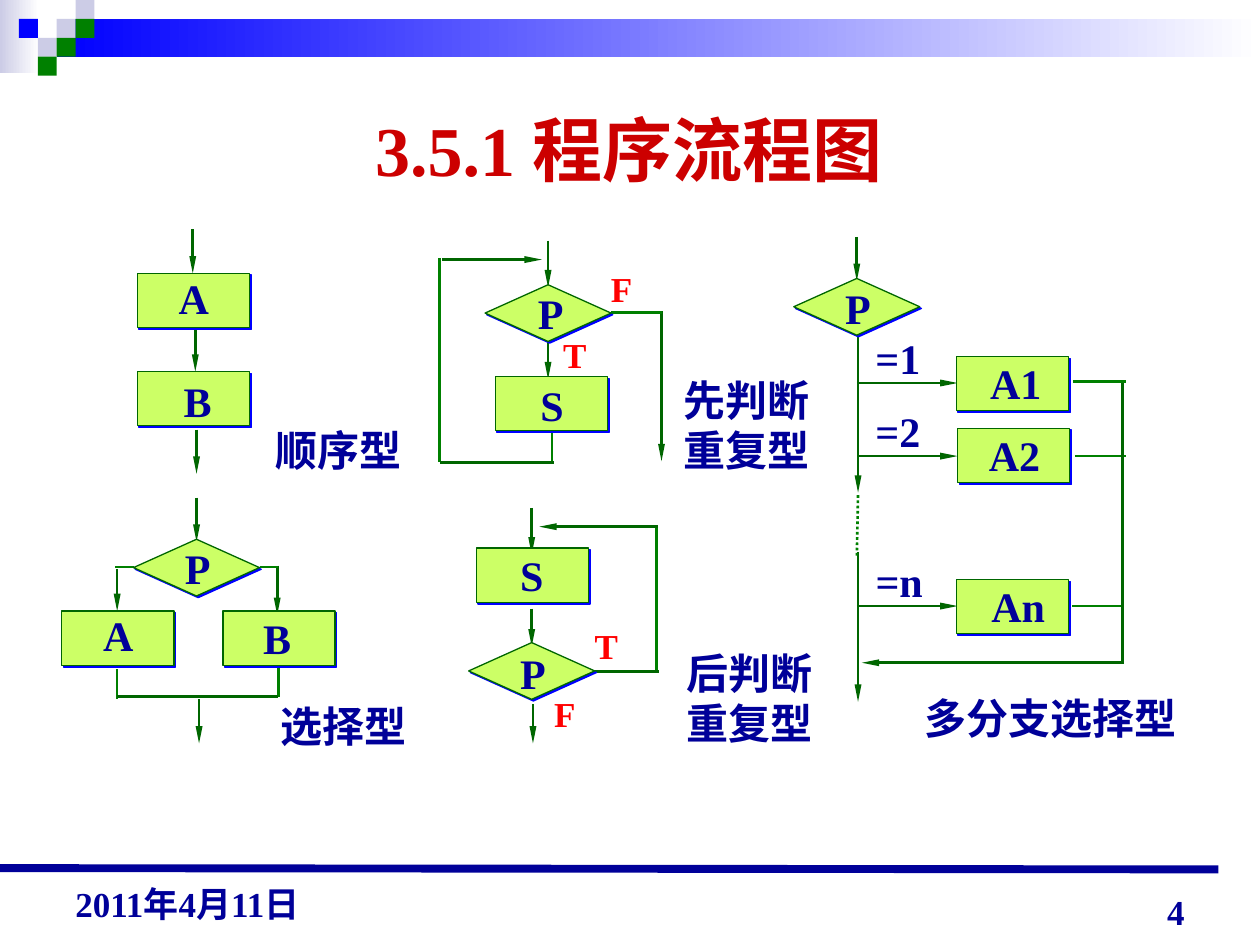
from dataclasses import dataclass

from lxml.etree import SubElement
from pptx import Presentation
from pptx.dml.color import RGBColor
from pptx.enum.dml import MSO_LINE
from pptx.enum.shapes import MSO_CONNECTOR, MSO_SHAPE
from pptx.enum.text import MSO_ANCHOR, PP_ALIGN
from pptx.oxml.ns import qn
from pptx.util import Inches, Pt


@dataclass(frozen=True)
class Theme:
    font: str = "Times New Roman"
    title: str = "CC0000"
    navy: str = "000099"
    red: str = "FF0000"
    lime: str = "CCFF66"
    dark: str = "006600"
    green: str = "008000"
    blue: str = "0000FF"
    lilac: str = "CCCCE6"
    white: str = "FFFFFF"
    title_size: int = 40
    label_size: int = 24
    small_size: int = 20


THEME = Theme()
TITLE = "3.5.1 程序流程图"
SQUARE = 0.15
BOX_SIZE = (0.89, 0.43)
DIAMOND_SIZE = (1, 0.45)

# Gradient bands: left, top, width, height, left-hand colour
BANDS = [(0, 0, 0.31, 0.58, THEME.lilac), (0.45, 0.15, 9.55, 0.3, THEME.blue)]
# Corner squares: column, row, colour
SQUARES = [
    (3, 1, THEME.lilac), (4, 0, THEME.lilac), (4, 1, THEME.green),
    (2, 2, THEME.lilac), (1, 1, THEME.blue), (3, 2, THEME.green),
    (2, 3, THEME.green),
]

# Lines are (x1, y1, x2, y2); boxes and diamonds (left, top);
# labels, branches and captions (text, left, top).
CHARTS = [
    {  # sequence
        "arrows": [(1.53, 1.82, 1.53, 2.17), (1.55, 2.61, 1.55, 2.95),
                   (1.56, 3.41, 1.56, 3.76)],
        "boxes": [(1.09, 2.17), (1.09, 2.95)],
        "labels": [("A", 1.32, 2.11), ("B", 1.36, 2.93), ("顺序型", 2.09, 3.32)],
    },
    {  # selection
        "arrows": [(1.56, 3.95, 1.56, 4.3), (0.93, 4.52, 0.93, 4.85),
                   (1.58, 5.55, 1.58, 5.9), (2.2, 4.49, 2.2, 4.88)],
        "boxes": [(0.49, 4.85), (1.77, 4.85)],
        "diamonds": [(1.06, 4.28)],
        "links": [(1.06, 4.5, 0.91, 4.5), (2.06, 4.5, 2.21, 4.5),
                  (0.93, 5.31, 0.93, 5.55), (2.21, 5.29, 2.21, 5.53)],
        "dark_links": [(0.93, 5.53, 2.21, 5.53)],
        "labels": [("A", 0.72, 4.79), ("B", 1.99, 4.81), ("P", 1.37, 4.26),
                   ("选择型", 2.13, 5.51)],
    },
    {  # multi-way selection
        "arrows": [(6.8, 1.88, 6.8, 2.23), (8.92, 5.26, 6.84, 5.26),
                   (6.81, 4.38, 6.81, 5.57), (6.8, 3.04, 7.6, 3.04),
                   (6.81, 3.62, 7.6, 3.62), (6.8, 4.81, 7.6, 4.81)],
        "thin_arrows": [(6.81, 2.67, 6.81, 3.91)],
        "dotted": [(6.81, 3.93, 6.8, 4.42)],
        "boxes": [(7.59, 2.83), (7.6, 3.4), (7.59, 4.6)],
        "diamonds": [(6.3, 2.21)],
        "links": [(8.91, 4.81, 8.51, 4.81), (8.52, 3.03, 8.94, 3.03),
                  (8.53, 3.62, 8.94, 3.62)],
        "dark_links": [(8.91, 3.04, 8.91, 5.26)],
        "labels": [("P", 6.61, 2.19), ("=1", 6.85, 2.59), ("A1", 7.76, 2.79),
                   ("=2", 6.85, 3.17), ("A2", 7.75, 3.36), ("=n", 6.85, 4.36),
                   ("An", 7.77, 4.56), ("多分支选择型", 7.24, 5.45)],
    },
    {  # loop tested first
        "arrows": [(4.35, 1.91, 4.35, 2.28), (5.25, 2.47, 5.25, 3.66),
                   (3.51, 2.06, 4.3, 2.06), (4.35, 2.71, 4.35, 3.01)],
        "boxes": [(3.93, 2.99)],
        "diamonds": [(3.85, 2.26)],
        "links": [(4.85, 2.48, 5.25, 2.48), (3.49, 2.05, 3.49, 3.67),
                  (4.38, 3.43, 4.38, 3.67)],
        "dark_links": [(3.49, 3.67, 4.4, 3.67)],
        "labels": [("S", 4.19, 2.96), ("P", 4.17, 2.23),
                   ("先判断\n重复型", 5.33, 2.92)],
        "branches": [("T", 4.37, 2.6), ("F", 4.75, 2.07)],
    },
    {  # loop tested last
        "arrows": [(4.22, 4.03, 4.22, 4.4), (4.23, 5.59, 4.23, 5.9),
                   (5.22, 4.18, 4.28, 4.18), (4.22, 4.83, 4.22, 5.13)],
        "boxes": [(3.78, 4.35)],
        "diamonds": [(3.72, 5.1)],
        "links": [(5.21, 4.19, 5.21, 5.33)],
        "dark_links": [(4.68, 5.33, 5.23, 5.33)],
        "labels": [("S", 4.03, 4.31), ("P", 4.03, 5.09),
                   ("后判断\n重复型", 5.35, 5.09)],
        "branches": [("F", 4.3, 5.45), ("T", 4.62, 4.91)],
    },
]
LINE_STYLES = {
    "arrows": {"arrow": True},
    "thin_arrows": {"arrow": True, "width": 0.75},
    "links": {"color": THEME.green},
    "dark_links": {},
    "dotted": {"color": THEME.green, "dash": MSO_LINE.ROUND_DOT},
}
NODE_STYLES = {"boxes": (MSO_SHAPE.RECTANGLE, BOX_SIZE),
               "diamonds": (MSO_SHAPE.DIAMOND, DIAMOND_SIZE)}
LABEL_STYLES = {"labels": (THEME.label_size, THEME.navy),
                "branches": (THEME.small_size, THEME.red)}
# Bold glyph widths in ems; Chinese characters take one em
EMS = {"A": 0.72, "B": 0.67, "P": 0.61, "S": 0.56, "T": 0.67, "F": 0.61,
       "=": 0.57, "n": 0.56, "1": 0.5, "2": 0.5}
FOOTERS = [("4", (7.17, 6.95, 2.33, 0.5), PP_ALIGN.RIGHT),
           ("2011年4月11日", (0.5, 6.87, 2.33, 0.52), PP_ALIGN.LEFT)]


def rgb(color):
    return RGBColor.from_string(color)


def write(frame, text, size, color, align=PP_ALIGN.LEFT):
    frame.text = text
    for para in frame.paragraphs:
        para.alignment = align
        for span in para.runs:
            values = {"name": THEME.font, "size": Pt(size), "bold": True}
            for name, value in values.items():
                setattr(span.font, name, value)
            span.font.color.rgb = rgb(color)


def add_text(page, area, text, size, color, **style):
    frame = page.shapes.add_textbox(*map(Inches, area)).text_frame
    frame.word_wrap = style.get("wrap", False)
    frame.vertical_anchor = style.get("anchor", MSO_ANCHOR.TOP)
    write(frame, text, size, color, style.get("align", PP_ALIGN.LEFT))


def add_label(page, text, left, top, size, color):
    """Place a label in a box that just fits its lines."""
    lines = text.split("\n")
    ems = max(sum(EMS.get(char, 1) for char in line) for line in lines)
    area = (left, top, 0.2 + ems * size / 72, 0.1 + len(lines) * size / 60)
    add_text(page, area, text, size, color)


def add_plain(page, kind, area, fill=None):
    shape = page.shapes.add_shape(kind, *map(Inches, area))
    shape.shadow.inherit = False
    shape.line.fill.background()
    if fill:
        shape.fill.solid()
        shape.fill.fore_color.rgb = rgb(fill)
    return shape


def add_band(page, area, color):
    fill = add_plain(page, MSO_SHAPE.RECTANGLE, area).fill
    fill.gradient()
    fill.gradient_angle = 180
    for stop, shade in zip(fill.gradient_stops, (THEME.white, color)):
        stop.color.rgb = rgb(shade)


def add_node(page, kind, area):
    """Draw a flowchart symbol with a hard blue shadow."""
    node = add_plain(page, kind, area, THEME.lime)
    node.line.color.rgb = rgb(THEME.dark)
    node.line.width = Pt(0.75)
    effects = node._element.spPr.find(qn("a:effectLst"))
    shadow = SubElement(effects, qn("a:outerShdw"), blurRad="0",
                        dist=str(Pt(1.4)), dir="2700000", algn="ctr", rotWithShape="0")
    SubElement(shadow, qn("a:srgbClr"), val=THEME.blue)


def add_line(page, ends, color=THEME.dark, width=1.5, arrow=False, dash=None):
    link = page.shapes.add_connector(MSO_CONNECTOR.STRAIGHT, *map(Inches, ends))
    link.line.color.rgb = rgb(color)
    link.line.width = Pt(width)
    if dash:
        link.line.dash_style = dash
    if arrow:
        SubElement(link.line._get_or_add_ln(), qn("a:tailEnd"),
                   type="triangle", w="sm", len="lg")
    SubElement(link._element.spPr, qn("a:effectLst"))


def add_chart_parts(page, chart):
    for part, style in LINE_STYLES.items():
        for ends in chart.get(part, []):
            add_line(page, ends, **style)
    for part, (kind, size) in NODE_STYLES.items():
        for corner in chart.get(part, []):
            add_node(page, kind, corner + size)
    for part, style in LABEL_STYLES.items():
        for label in chart.get(part, []):
            add_label(page, *label, *style)


def main():
    deck = Presentation()
    deck.slide_width, deck.slide_height = Inches(10), Inches(7.5)
    page = deck.slides.add_slide(deck.slide_layouts[5])
    for *area, color in BANDS:
        add_band(page, area, color)
    for column, row, color in SQUARES:
        area = (column * SQUARE, row * SQUARE, SQUARE, SQUARE)
        add_plain(page, MSO_SHAPE.RECTANGLE, area, color)
    add_line(page, (0, 6.89, 9.67, 6.9), THEME.navy, 4.5)

    title = page.shapes.title
    for name, value in zip(("left", "top", "width", "height"), (0.49, 0.74, 9, 0.87)):
        setattr(title, name, Inches(value))
    title.text_frame.vertical_anchor = MSO_ANCHOR.MIDDLE
    write(title.text_frame, TITLE, THEME.title_size, THEME.title, PP_ALIGN.CENTER)

    for chart in CHARTS:
        add_chart_parts(page, chart)
    for text, area, align in FOOTERS:
        add_text(page, area, text, THEME.small_size, THEME.navy,
                 wrap=True, anchor=MSO_ANCHOR.BOTTOM, align=align)
    deck.save("out.pptx")


if __name__ == "__main__":
    main()
